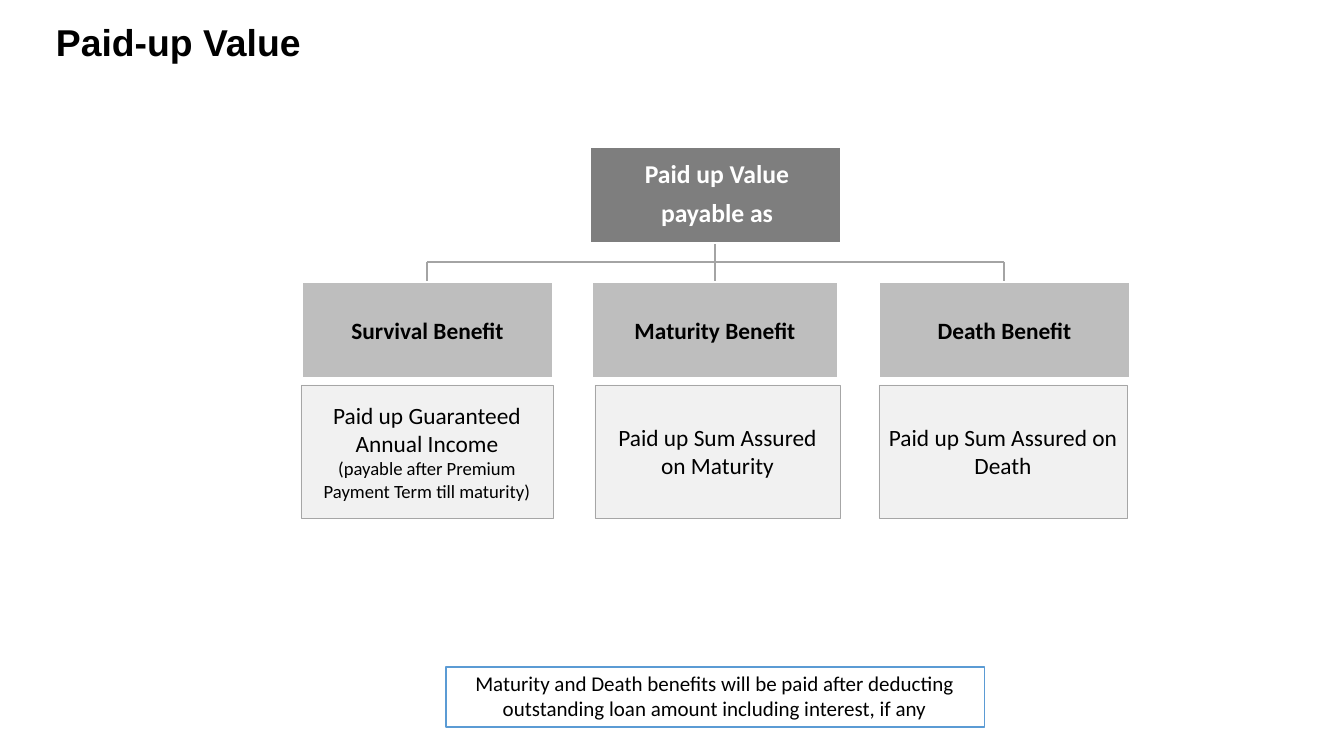
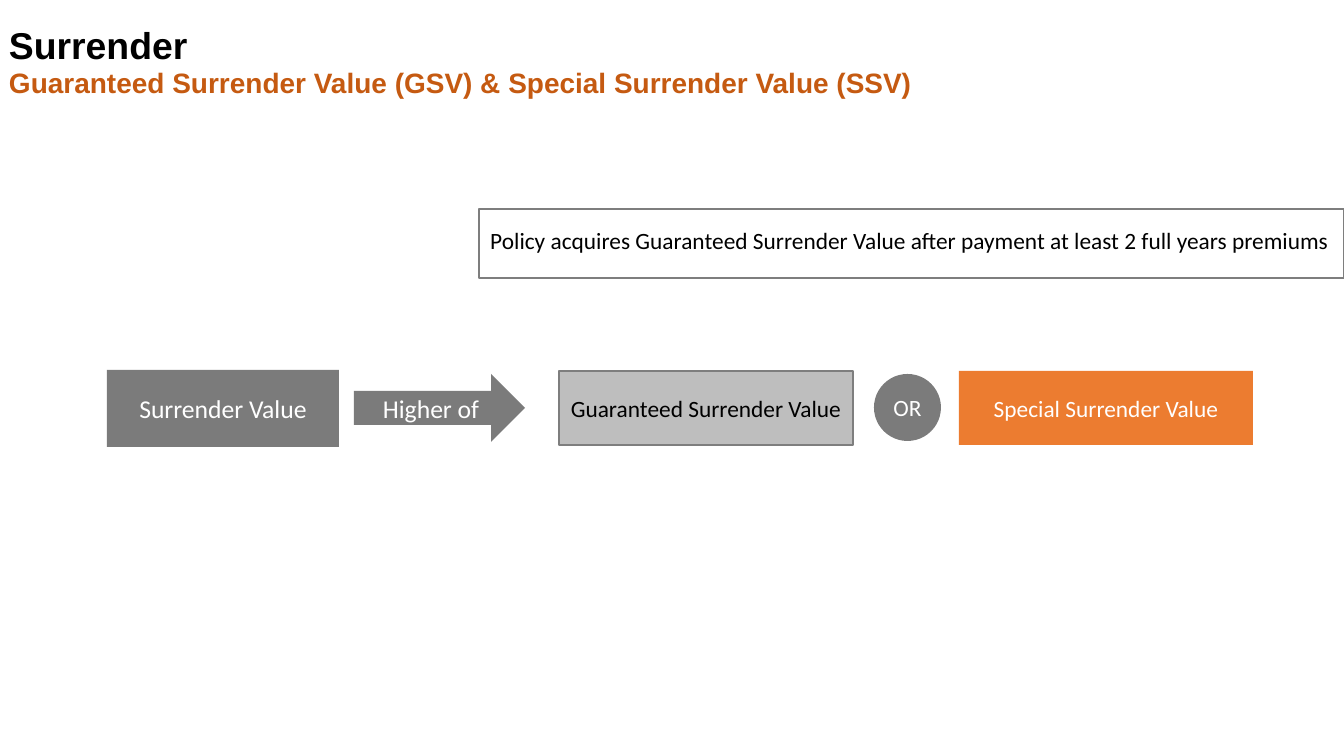
import pptx
import pptx.dml.color
import pptx.enum.shapes
import pptx.enum.text
import pptx.oxml
import pptx.util

PX = 914400 / 84
COLORS = {
    "black": "000000", "white": "FFFFFF", "root": "7E7E7E", "step": "7B7B7B",
    "heading": "BEBEBE", "detail": "F1F1F1", "edge": "A6A6A6", "tree": "A4A4A4",
    "note": "5B9BD4", "orange": "EC7C30", "subtitle": "C55A11",
}
COLORS = {name: pptx.dml.color.RGBColor.from_string(code) for name, code in COLORS.items()}
Pt = pptx.util.Pt
SHAPE = pptx.enum.shapes.MSO_SHAPE
ALIGN = pptx.enum.text.PP_ALIGN
ANCHOR = pptx.enum.text.MSO_ANCHOR

# Text styles: font values and colour
STYLES = {
    "title": ({"name": "Arial", "size": Pt(32), "bold": True}, "black"),
    "subtitle": ({"name": "Arial", "size": Pt(24), "bold": True}, "subtitle"),
    "root": ({"name": "Calibri", "size": Pt(22), "bold": True}, "white"),
    "heading": ({"name": "Calibri", "size": Pt(20), "bold": True}, "black"),
    "step": ({"name": "Calibri", "size": Pt(22)}, "white"),
    "option": ({"name": "Calibri", "size": Pt(20)}, "white"),
    "body": ({"name": "Calibri", "size": Pt(20)}, "black"),
    "note": ({"name": "Calibri", "size": Pt(18)}, "black"),
    "small": ({"name": "Calibri", "size": Pt(16)}, "black"),
}


def write_lines(box, lines, align, anchor, margins):
    frame = box.text_frame
    frame_format = {"word_wrap": True, "vertical_anchor": anchor,
                    "auto_size": pptx.enum.text.MSO_AUTO_SIZE.NONE}
    for side, margin in zip(("left", "top", "right", "bottom"), margins):
        frame_format["margin_" + side] = round(margin * PX)
    for name, value in frame_format.items():
        setattr(frame, name, value)
    for index, (text, style, para_format) in enumerate(lines):
        para = frame.add_paragraph() if index else frame.paragraphs[0]
        for name, value in {"alignment": align, **para_format}.items():
            setattr(para, name, value)
        span = para.add_run()
        span.text = text
        font_format, color = STYLES[style]
        for name, value in font_format.items():
            setattr(span.font, name, value)
        span.font.color.rgb = COLORS[color]


def add_box(page, at, lines, fill=None, line=None, width=1, kind=SHAPE.RECTANGLE,
            margins=(0, 0, 0, 0)):
    box = page.shapes.add_shape(kind, *[round(length * PX) for length in at])
    box.shadow.inherit = False
    if fill:
        box.fill.solid()
        box.fill.fore_color.rgb = COLORS[fill]
    else:
        box.fill.background()
    if line:
        box.line.color.rgb = COLORS[line]
        box.line.width = Pt(width)
    else:
        box.line.fill.background()
    write_lines(box, lines, ALIGN.CENTER, ANCHOR.MIDDLE, margins)


deck = pptx.Presentation()
deck.slide_width = round(1344 * PX)
deck.slide_height = round(756 * PX)

# Pages with their titles
titles = [
    ((55, 18, 250, 47), 1, [("Paid-up Value", "title", {})]),
    ((8, 13, 908, 103), 10, [
        ("Surrender", "title", {"line_spacing": Pt(37.5)}),
        ("Guaranteed Surrender Value (GSV) & Special Surrender Value (SSV)",
         "subtitle", {"line_spacing": Pt(27.9)}),
    ]),
]
pages = []
for at, top_margin, lines in titles:
    page = deck.slides.add_slide(deck.slide_layouts[5])
    title = page.shapes.title
    for name, length in zip(("left", "top", "width", "height"), at):
        setattr(title, name, round(length * PX))
    write_lines(title, lines, ALIGN.LEFT, ANCHOR.TOP, (1, top_margin, 0, 0))
    pages.append(page)
paid_up_page, surrender_page = pages

# Paid-up value: tree lines
left, middle, right = 427, 715, 1004
root_bottom, bar, heading_top = 243, 262, 282
tree_lines = [
    (middle, root_bottom, middle, heading_top),
    (left, bar, right, bar),
    (left, bar, left, heading_top),
    (right, bar, right, heading_top),
]
for ends in tree_lines:
    branch = paid_up_page.shapes.add_connector(
        pptx.enum.shapes.MSO_CONNECTOR.STRAIGHT, *[round(end * PX) for end in ends])
    branch.line.color.rgb = COLORS["tree"]
    branch.line.width = Pt(1)
    branch._element.spPr.append(pptx.oxml.parse_xml(
        '<a:effectLst xmlns:a="http://schemas.openxmlformats.org/drawingml/2006/main"/>'))

# Paid-up value: root, benefits and note
add_box(paid_up_page, (590, 147, 251, 96), [
    ("Paid up Value", "root", {}),
    ("payable as", "root", {"space_before": Pt(7.2)}),
], "root", "white", margins=(3, 0, 0, 4))

benefits = [
    ("Survival Benefit", 302, 251, 301, 252, 20, [
        ("Paid up Guaranteed Annual Income", "body", {}),
        ("(payable after Premium Payment Term till maturity)", "small", {}),
    ]),
    ("Maturity Benefit", 592, 246, 595, 245, 20,
     [("Paid up Sum Assured on Maturity", "body", {})]),
    ("Death Benefit", 879, 251, 879, 248, 5,
     [("Paid up Sum Assured on Death", "body", {})]),
]
for name, head_left, head_width, detail_left, detail_width, inset, detail in benefits:
    add_box(paid_up_page, (head_left, heading_top, head_width, 96),
            [(name, "heading", {})], "heading", "white")
    add_box(paid_up_page, (detail_left, 385, detail_width, 133), detail,
            "detail", "edge", 0.5, margins=(inset, 0, inset, 0))

add_box(paid_up_page, (446, 667, 539, 60), [
    ("Maturity and Death benefits will be paid after deducting outstanding "
     "loan amount including interest, if any", "note", {}),
], line="note", margins=(0, 0, 2, 2))

# Surrender: condition and comparison row
add_box(surrender_page, (479, 209, 865, 69), [
    ("Policy acquires Guaranteed Surrender Value after payment at least "
     "2 full years premiums", "body", {}),
], line="root", margins=(0, 0, 4, 7))

comparison = [
    ("Surrender Value", "step", (107, 370, 232, 77), "step", None, SHAPE.RECTANGLE),
    ("Higher of", "step", (354, 374, 171, 68), "step", None, SHAPE.RIGHT_ARROW),
    ("Guaranteed Surrender Value", "body", (559, 371, 294, 74), "heading", "root",
     SHAPE.RECTANGLE),
    ("OR", "option", (874, 374, 67, 67), "step", None, SHAPE.OVAL),
    ("Special Surrender Value", "option", (959, 371, 294, 74), "orange", None,
     SHAPE.RECTANGLE),
]
for text, style, at, fill, line, kind in comparison:
    add_box(surrender_page, at, [(text, style, {})], fill, line, kind=kind)

deck.save("out.pptx")
